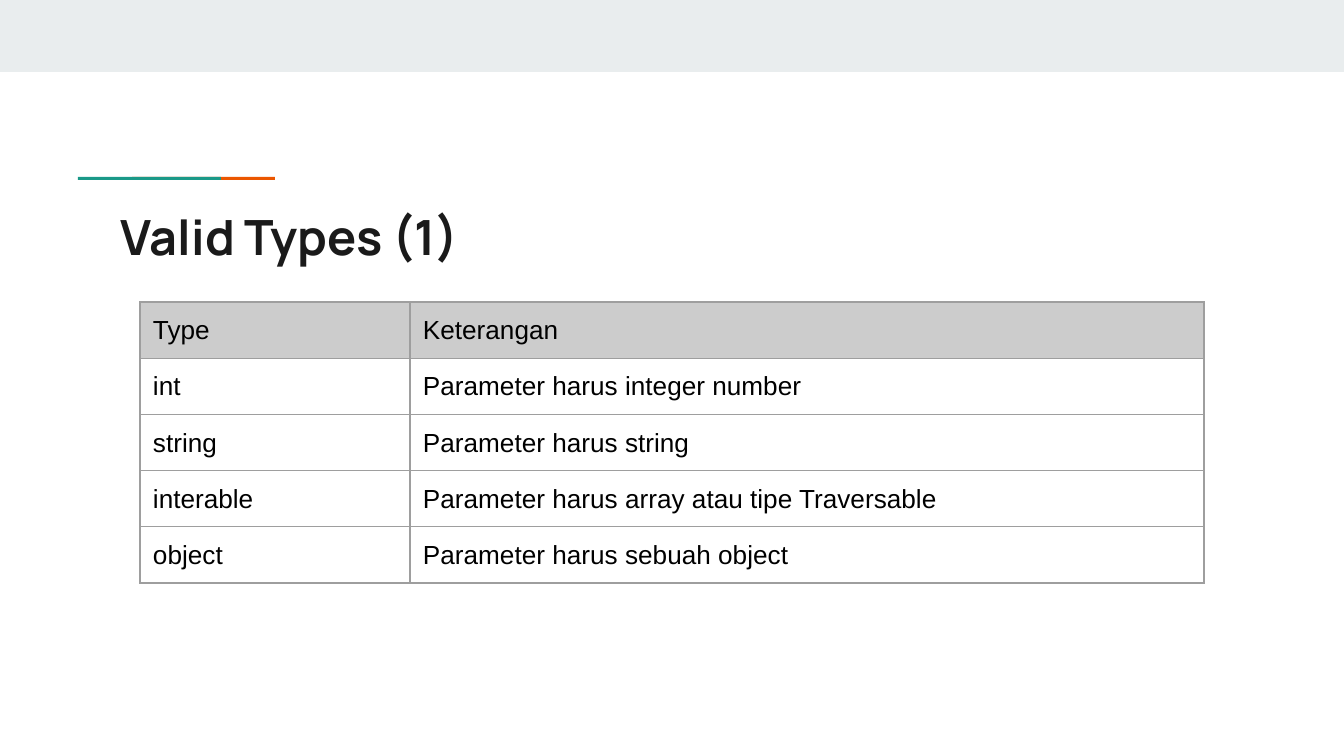
from lxml import etree
from pptx import Presentation
from pptx import util as u
from pptx.dml.color import RGBColor
from pptx.enum import shapes, text
from pptx.oxml.ns import qn

SCALE = 914400 / 134.4
COLORS = {"band": "E9EDEE", "teal": "1A9988", "orange": "EB5600", "title": "1A1A1A",
          "text": "000000", "header": "CCCCCC", "border": "9E9E9E"}
ROWS = [
    ("Type", "Keterangan"),
    ("int", "Parameter harus integer number"),
    ("string", "Parameter harus string"),
    ("interable", "Parameter harus array atau tipe Traversable"),
    ("object", "Parameter harus sebuah object"),
]


def px(n):
    return u.Emu(round(n * SCALE))


def rgb(name):
    return RGBColor.from_string(COLORS[name])


def add_rect(s, x, y, w, h, color):
    sp = s.shapes.add_shape(shapes.MSO_SHAPE.RECTANGLE, px(x), px(y), px(w), px(h))
    sp.shadow.inherit = False
    sp.fill.solid()
    sp.fill.fore_color.rgb = rgb(color)
    sp.line.fill.background()


def add_run(p, content, font, size, color, bold=False):
    r = p.add_run()
    r.text = content
    r.font.name, r.font.size, r.font.bold = font, u.Pt(size), bold
    r.font.color.rgb = rgb(color)


def set_insets(box, side, top, bottom):
    box.margin_left = box.margin_right = px(side)
    box.margin_top, box.margin_bottom = px(top), px(bottom)


def add_accent(s, x, y, w, h):
    """Two equal bars that overlap, the teal one in front."""
    bar = 143
    add_rect(s, x + w - bar, y, bar, h, "orange")
    add_rect(s, x, y, bar, h, "teal")


def add_title(s, x, y, w, h, content):
    tf = s.shapes.add_textbox(px(x), px(y), px(w), px(h)).text_frame
    tf.word_wrap = True
    tf.vertical_anchor = text.MSO_ANCHOR.TOP
    set_insets(tf, 13, 13, 13)
    add_run(tf.paragraphs[0], content, "Manrope", 26, "title", bold=True)


def add_borders(cell):
    tc_pr = cell._tc.get_or_add_tcPr()
    for side in ("lnL", "lnR", "lnT", "lnB"):
        ln = etree.SubElement(tc_pr, qn(f"a:{side}"), w=str(u.Pt(0.75)))
        fill = etree.SubElement(ln, qn("a:solidFill"))
        etree.SubElement(fill, qn("a:srgbClr"), val=COLORS["border"])


def add_types_table(s, x, y, w, h, rows):
    first = 270
    table = s.shapes.add_table(len(rows), 2, px(x), px(y), px(w), px(h)).table
    table.first_row = table.horz_banding = False
    for col, width in zip(table.columns, (first, w - first)):
        col.width = px(width)
    for i, (row, values) in enumerate(zip(table.rows, rows)):
        row.height = px(h / len(rows))
        for cell, value in zip(row.cells, values):
            set_insets(cell, 13, 14, 10)
            add_borders(cell)
            if i == 0:
                cell.fill.solid()
                cell.fill.fore_color.rgb = rgb("header")
            else:
                cell.fill.background()
            add_run(cell.text_frame.paragraphs[0], value, "Arial", 14, "text")


def main():
    prs = Presentation()
    prs.slide_width, prs.slide_height = px(1344), px(756)
    s = prs.slides.add_slide(prs.slide_layouts[6])
    add_rect(s, 0, 0, 1344, 72, "band")
    add_accent(s, 78, 177, 197, 3)
    add_title(s, 108, 194, 1130, 79, "Valid Types (1)")
    add_types_table(s, 140, 302, 1064, 281, ROWS)
    prs.save("out.pptx")


if __name__ == "__main__":
    main()
